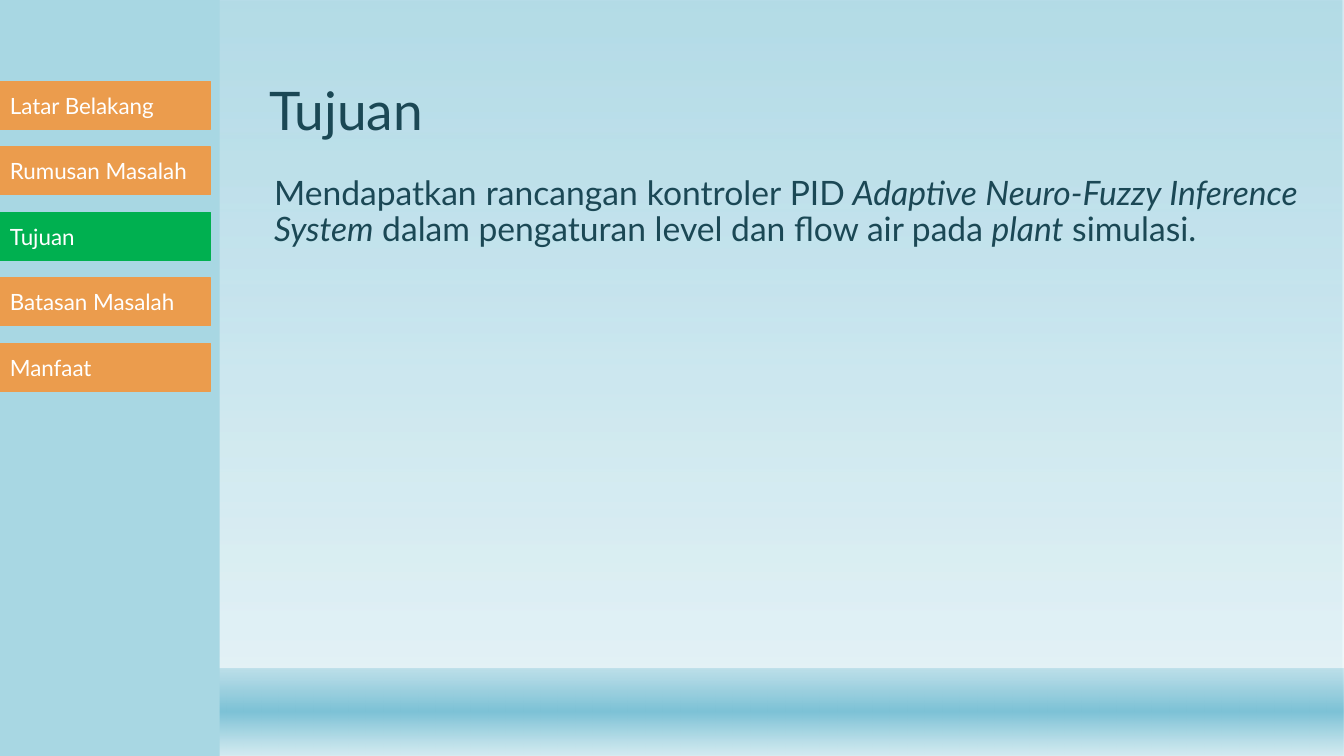
"""Build the "Tujuan" slide with its section menu."""
from dataclasses import dataclass

from lxml.etree import SubElement
from pptx import Presentation
from pptx.dml.color import RGBColor
from pptx.enum.shapes import MSO_SHAPE
from pptx.enum.text import MSO_ANCHOR, PP_ALIGN
from pptx.oxml.ns import qn
from pptx.util import Inches, Pt

SECTIONS = ["Latar Belakang", "Rumusan Masalah", "Tujuan", "Batasan Masalah", "Manfaat"]
CURRENT = "Tujuan"
GOAL = [
    ("Mendapatkan rancangan kontroler PID", False),
    (" Adaptive Neuro-Fuzzy Inference System", True),
    (" dalam pengaturan level dan flow air pada ", False),
    ("plant", True),
    (" simulasi.", False),
]


@dataclass(frozen=True)
class Theme:
    font: str = "Lato"
    ink: str = "1B4855"
    menu_ink: str = "FFFFFF"
    sidebar: str = "A8D7E3"
    tab: str = "EB9C4D"
    active_tab: str = "00B050"
    title_size: int = 38
    body_size: int = 24
    menu_size: int = 16
    sky: tuple = ((0, "7DC2D6", 58), (88, "D4EBF1", 65))
    band: tuple = ((1, "7DC2D6", 38), (49, "7DC2D6", 100), (100, "D4EBF1", 89))


THEME = Theme()
WIDTH, HEIGHT = 13.33, 7.5
BAND_TOP = 6.63
TAB_TOP, TAB_STEP, TAB_WIDTH, TAB_HEIGHT = 0.81, 0.65, 2.09, 0.47


def add_block(page, left, top, width, height):
    block = page.shapes.add_shape(
        MSO_SHAPE.RECTANGLE, Inches(left), Inches(top), Inches(width), Inches(height))
    block.shadow.inherit = False
    block.line.fill.background()
    return block


def fill_solid(block, color):
    block.fill.solid()
    block.fill.fore_color.rgb = RGBColor.from_string(color)


def fill_gradient(block, stops):
    block.fill.gradient()
    block.fill.gradient_angle = 270
    stop_list = block.element.spPr.find(qn("a:gradFill")).find(qn("a:gsLst"))
    for old_stop in list(stop_list):
        stop_list.remove(old_stop)
    for position, color, opacity in stops:
        stop = SubElement(stop_list, qn("a:gs"), pos=str(position * 1000))
        shade = SubElement(stop, qn("a:srgbClr"), val=color)
        SubElement(shade, qn("a:alpha"), val=str(opacity * 1000))


def style(para, size, color, align=PP_ALIGN.LEFT):
    para.alignment = align
    para.font.name = THEME.font
    para.font.size = Pt(size)
    para.font.color.rgb = RGBColor.from_string(color)


def add_text(page, left, top, width, height, spans, size, anchor, align=PP_ALIGN.LEFT):
    box = page.shapes.add_textbox(Inches(left), Inches(top), Inches(width), Inches(height))
    box.text_frame.word_wrap = True
    box.text_frame.vertical_anchor = anchor
    para = box.text_frame.paragraphs[0]
    para.line_spacing = 0.9
    style(para, size, THEME.ink, align)
    for text, italic in spans:
        span = para.add_run()
        span.text = text
        if italic:
            span.font.italic = True


def add_menu(page):
    for index, section in enumerate(SECTIONS):
        color = THEME.active_tab if section == CURRENT else THEME.tab
        tab = add_block(page, 0, TAB_TOP + index * TAB_STEP, TAB_WIDTH, TAB_HEIGHT)
        fill_solid(tab, color)
        tab.line.color.rgb = RGBColor.from_string(color)
        tab.line.width = Pt(1)
        tab.text_frame.vertical_anchor = MSO_ANCHOR.MIDDLE
        para = tab.text_frame.paragraphs[0]
        para.text = section
        style(para, THEME.menu_size, THEME.menu_ink)


def main():
    deck = Presentation()
    deck.slide_width, deck.slide_height = Inches(WIDTH), Inches(HEIGHT)
    page = deck.slides.add_slide(deck.slide_layouts[6])

    fill_gradient(add_block(page, 0, 0, WIDTH, HEIGHT), THEME.sky)
    fill_gradient(add_block(page, 0, BAND_TOP, WIDTH, HEIGHT - BAND_TOP), THEME.band)
    add_text(page, 2.57, 0.27, 10.4, 1.19, [(CURRENT, False)],
             THEME.title_size, MSO_ANCHOR.BOTTOM)
    add_text(page, 2.62, 1.7, 10.35, 4.53, GOAL,
             THEME.body_size, MSO_ANCHOR.TOP, PP_ALIGN.JUSTIFY)
    fill_solid(add_block(page, -0.02, 0, 2.2, HEIGHT), THEME.sidebar)
    add_menu(page)
    deck.save("out.pptx")


if __name__ == "__main__":
    main()
